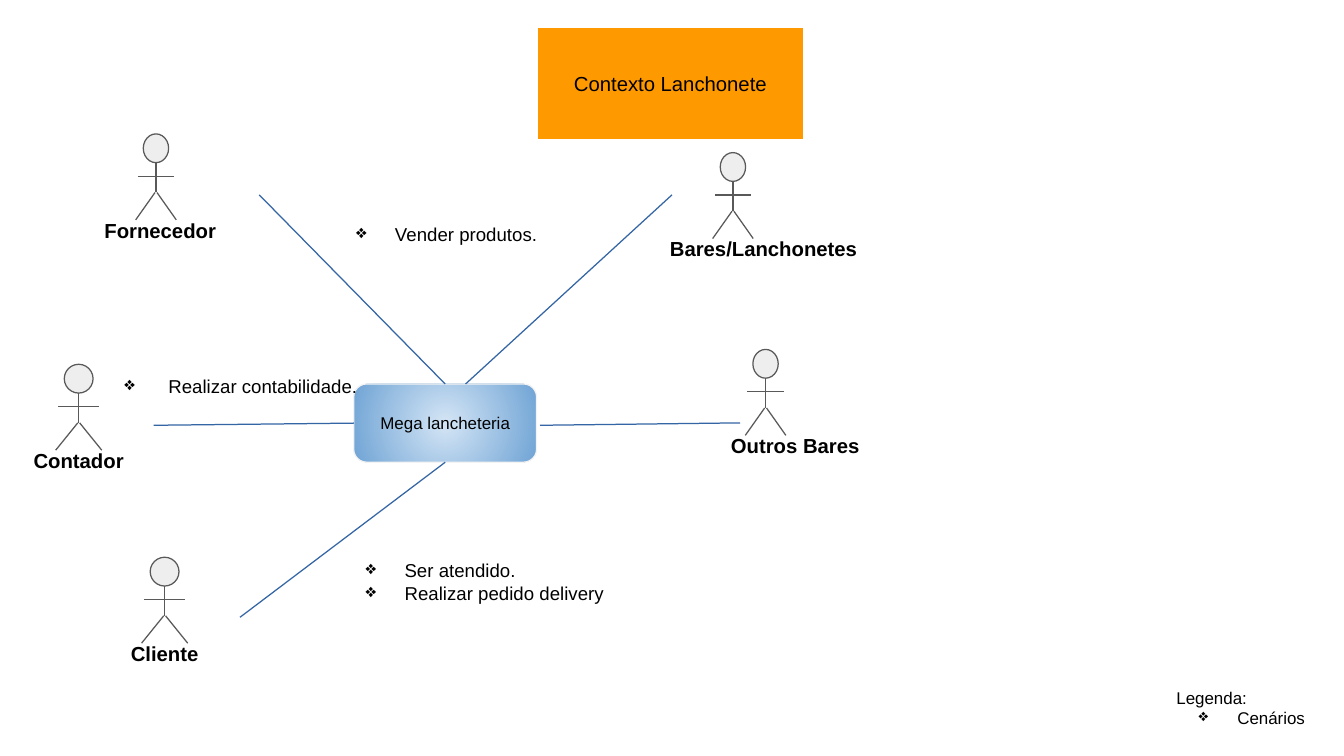
from lxml.etree import SubElement
from pptx import Presentation
from pptx.dml.color import RGBColor as RGB
from pptx.enum.shapes import MSO_CONNECTOR as LINE, MSO_SHAPE as SHAPE
from pptx.enum.text import MSO_ANCHOR as ANCHOR, MSO_AUTO_SIZE as AUTOSIZE, PP_ALIGN as ALIGN
from pptx.oxml.ns import qn
from pptx.util import Cm, Pt

COLORS = {
    "black": "000000", "white": "FFFFFF", "banner": "FF9900",
    "hub_center": "D4E5F5", "hub_edge": "70A4D5", "hub_line": "F3F3F3",
    "head": "EEEEEE", "figure": "595959", "link": "3465A4",
}


def write(shape, lines, size, align=ALIGN.LEFT, bold=False, anchor=ANCHOR.TOP):
    """Fill a shape with (text, is_bullet) lines."""
    frame = shape.text_frame
    frame.word_wrap = True
    frame.auto_size = AUTOSIZE.NONE
    frame.vertical_anchor = anchor
    frame.margin_left = frame.margin_right = Cm(0.25)
    frame.margin_top = frame.margin_bottom = Cm(0.25)
    for i, (text, is_bullet) in enumerate(lines):
        paragraph = frame.add_paragraph() if i else frame.paragraphs[0]
        paragraph.alignment = align
        run = paragraph.add_run()
        run.text = text
        run.font.name = "Arial"
        run.font.size = Pt(size)
        run.font.bold = bold
        run.font.color.rgb = RGB.from_string(COLORS["black"])
        if is_bullet:
            props = paragraph._p.get_or_add_pPr()
            props.set("marL", str(Cm(1.27)))
            props.set("indent", str(-Cm(0.81)))
            color = SubElement(props, qn("a:buClr"))
            SubElement(color, qn("a:srgbClr"), val=COLORS["black"])
            SubElement(props, qn("a:buChar"), char="❖")


def draw_line(shapes, x1, y1, x2, y2, color):
    line = shapes.add_connector(LINE.STRAIGHT, Cm(x1), Cm(y1), Cm(x2), Cm(y2))
    line.line.color.rgb = RGB.from_string(COLORS[color])
    line.line.width = Pt(0.75)
    SubElement(line._element.spPr, qn("a:effectLst"))
    return line


prs = Presentation()
prs.slide_width, prs.slide_height = Cm(28), Cm(15.75)
slide = prs.slides.add_slide(prs.slide_layouts[5])

# Title as a wave banner
banner = slide.shapes.title
banner.left, banner.top, banner.width, banner.height = Cm(11.2), Cm(0.56), Cm(5.54), Cm(2.36)
wave = SubElement(banner._element.spPr, qn("a:prstGeom"), prst="wave")
adjustments = SubElement(wave, qn("a:avLst"))
for name, value in (("adj1", 7000), ("adj2", 0)):
    SubElement(adjustments, qn("a:gd"), name=name, fmla=f"val {value}")
banner.fill.solid()
banner.fill.fore_color.rgb = RGB.from_string(COLORS["banner"])
banner.line.color.rgb = RGB.from_string(COLORS["white"])
banner.line.width = Pt(0.75)
write(banner, [("Contexto Lanchonete", False)], 12, ALIGN.CENTER, anchor=ANCHOR.MIDDLE)

# Central system with a radial gradient
hub = slide.shapes.add_shape(SHAPE.ROUNDED_RECTANGLE, Cm(7.37), Cm(8), Cm(3.81), Cm(1.63))
hub.shadow.inherit = False
hub.fill.gradient()
for stop, color in zip(hub.fill.gradient_stops, ("hub_center", "hub_edge")):
    stop.color.rgb = RGB.from_string(COLORS[color])
gradient = hub._element.spPr.find(qn("a:gradFill"))
gradient.remove(gradient.find(qn("a:lin")))
radial = SubElement(gradient, qn("a:path"), path="circle")
SubElement(radial, qn("a:fillToRect"), l="50000", t="50000", r="50000", b="50000")
hub.line.color.rgb = RGB.from_string(COLORS["hub_line"])
hub.line.width = Pt(0.75)
write(hub, [("Mega lancheteria", False)], 10, ALIGN.CENTER, anchor=ANCHOR.MIDDLE)

# Actors: name, centre, top, width scale, label centre, label width
actors = [
    ("Contador", 1.64, 7.59, 1, 1.64, 3.12),
    ("Fornecedor", 3.25, 2.79, 0.88, 3.34, 4.09),
    ("Cliente", 3.43, 11.61, 1, 3.43, 3.12),
    ("Bares/Lanchonetes", 15.27, 3.18, 0.88, 15.91, 5.16),
    ("Outros Bares", 15.95, 7.28, 0.88, 16.57, 5.16),
]
for name, x, top, scale, label_x, label_width in actors:
    actor = slide.shapes.add_group_shape().shapes
    head = actor.add_shape(SHAPE.FLOWCHART_CONNECTOR, Cm(x - 0.3 * scale), Cm(top),
                           Cm(0.6 * scale), Cm(0.6))
    head.shadow.inherit = False
    head.fill.solid()
    head.fill.fore_color.rgb = RGB.from_string(COLORS["head"])
    head.line.color.rgb = RGB.from_string(COLORS["figure"])
    head.line.width = Pt(0.75)
    arm, foot = 0.43 * scale, 0.48 * scale
    draw_line(actor, x, top + 0.6, x, top + 1.22, "figure")
    draw_line(actor, x - arm, top + 0.88, x + arm, top + 0.88, "figure")
    for side in (-1, 1):
        draw_line(actor, x + side * 0.02, top + 1.22, x + side * foot, top + 1.79, "figure")
    label = actor.add_textbox(Cm(label_x - label_width / 2), Cm(top + 1.5),
                              Cm(label_width), Cm(1.04))
    write(label, [(name, False)], 12, ALIGN.CENTER, bold=True)

# Links joined to the system: start, end, connection site
links = [
    (5.4, 4.06, 9.27, 8, 0),
    (5, 12.86, 9.27, 9.63, 2),
    (3.2, 8.86, 7.37, 8.81, 1),
]
for x1, y1, x2, y2, site in links:
    draw_line(slide.shapes, x1, y1, x2, y2, "link").end_connect(hub, site)

# Links that end beside the middle of a side
draw_line(slide.shapes, 14, 4.06, 9.7, 8, "link")
draw_line(slide.shapes, 15.42, 8.81, 11.25, 8.86, "link")

# Scenarios and legend: left, top, width, height, size, lines
notes = [
    (6.71, 4.39, 9.27, 3.4, 11, [("Vender produtos.", True)]),
    (1.88, 7.57, 9.27, 2.54, 11, [(" Realizar contabilidade.", True)]),
    (6.91, 11.4, 9.27, 2.54, 11, [("Ser atendido.", True), ("Realizar pedido delivery", True)]),
    (24.26, 14.07, 3.53, 1.45, 10, [("Legenda:", False), ("Cenários", True)]),
]
for left, top, width, height, size, lines in notes:
    box = slide.shapes.add_textbox(Cm(left), Cm(top), Cm(width), Cm(height))
    write(box, lines, size)

prs.save("out.pptx")
